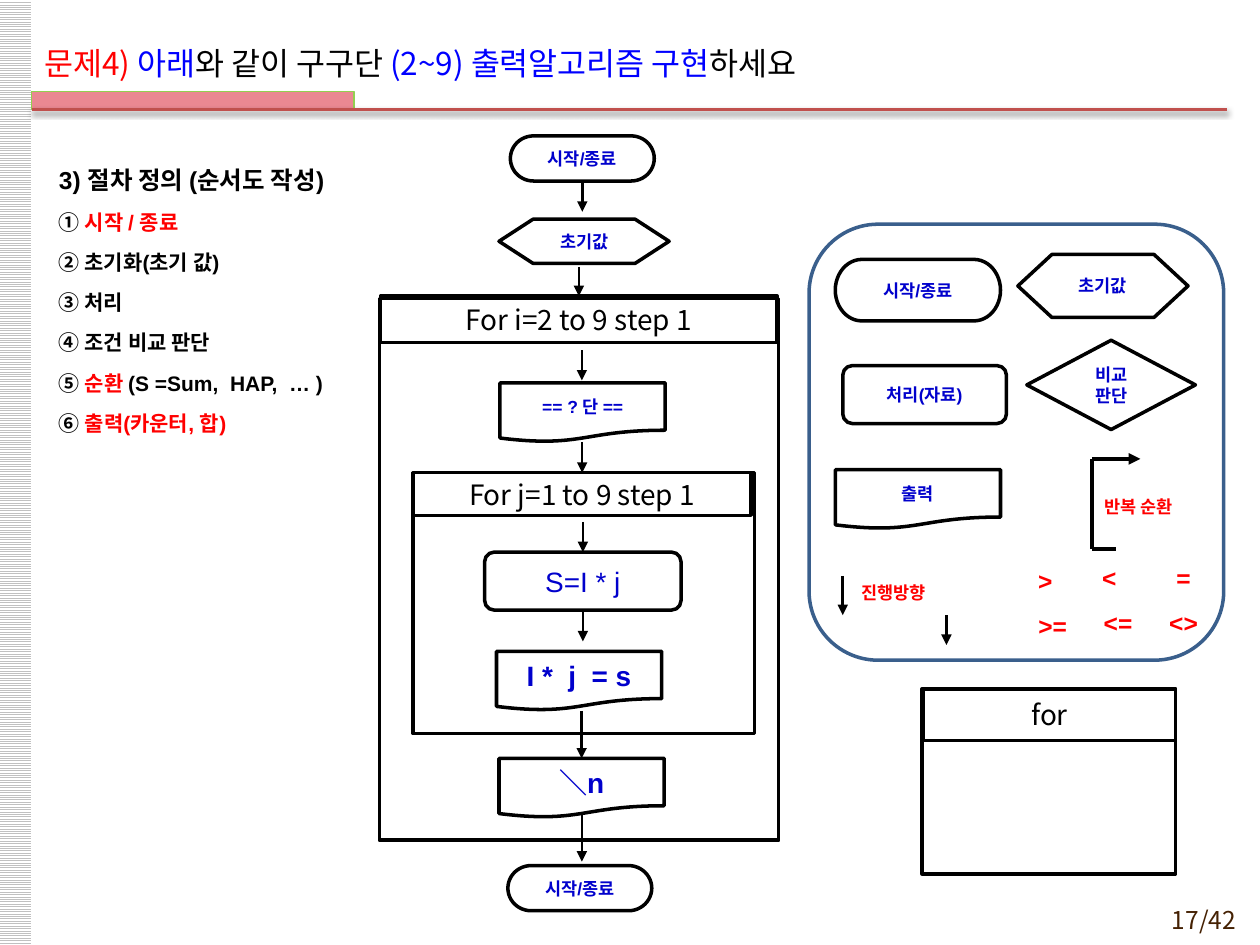
import pptx
import pptx.dml.color
import pptx.enum.dml
import pptx.enum.shapes
import pptx.enum.text
import pptx.oxml
import pptx.oxml.ns
import pptx.util
from lxml import etree

Cm = pptx.util.Cm
Pt = pptx.util.Pt
RGBColor = pptx.dml.color.RGBColor
SHAPE = pptx.enum.shapes.MSO_SHAPE
ALIGN = pptx.enum.text.PP_ALIGN
ANCHOR = pptx.enum.text.MSO_ANCHOR
qn = pptx.oxml.ns.qn

BLACK = RGBColor(0x00, 0x00, 0x00)
WHITE = RGBColor(0xFF, 0xFF, 0xFF)
RED = RGBColor(0xFF, 0x00, 0x00)
BLUE = RGBColor(0x00, 0x00, 0xFF)
NAVY = RGBColor(0x00, 0x00, 0xCC)
LEGEND_BLUE = RGBColor(0x3A, 0x5F, 0x8C)
STRIPE_GRAY = RGBColor(0xC0, 0xC0, 0xC0)
PINK = RGBColor(0xEA, 0x88, 0x92)
GREEN = RGBColor(0x92, 0xD0, 0x50)
RULE_RED = RGBColor(0xC0, 0x50, 0x4D)
BROWN = RGBColor(0x45, 0x21, 0x03)

SANS = "Arial"
KOREAN = "Noto Sans CJK KR"
FLOW_X = 11.73
TOP, BOTTOM = 0, 2

RULE_SHADOW = (
    '<a:outerShdw xmlns:a="http://schemas.openxmlformats.org/drawingml/2006/main" '
    'blurRad="39370" dist="20320" dir="5400000" rotWithShape="0">'
    '<a:srgbClr val="000000"><a:alpha val="38000"/></a:srgbClr></a:outerShdw>'
)


def write(paragraph, runs, size, font=SANS, bold=False, align=None, spacing=None):
    """Fill a paragraph with (text, colour) runs."""
    if align is not None:
        paragraph.alignment = align
    if spacing:
        paragraph.line_spacing = spacing
    paragraph.font.size = Pt(size)
    paragraph.font.name = font
    paragraph.font.bold = bold
    colors = {color for _, color in runs}
    if len(colors) == 1:
        paragraph.font.color.rgb = runs[0][1]
    for text, color in runs:
        run = paragraph.add_run()
        run.text = text
        if len(colors) > 1:
            run.font.color.rgb = color


def add_text_box(slide, box, anchor=ANCHOR.TOP):
    text_box = slide.shapes.add_textbox(*map(Cm, box))
    frame = text_box.text_frame
    frame.word_wrap = True
    frame.vertical_anchor = anchor
    return frame


def add_label(slide, box, text, size, align=None):
    write(add_text_box(slide, box).paragraphs[0], [(text, RED)], size, bold=True, align=align)


def add_outline(slide, kind, box, color=BLACK, width=2):
    shape = slide.shapes.add_shape(kind, *map(Cm, box))
    shape.shadow.inherit = False
    shape.fill.background()
    shape.line.color.rgb = color
    shape.line.width = Pt(width)
    return shape


def add_symbol(slide, kind, box, text, size=10, font=SANS, color=NAVY, bold=True):
    """Add a flowchart symbol with one centred paragraph for each line of text."""
    shape = add_outline(slide, kind, box)
    frame = shape.text_frame
    frame.vertical_anchor = ANCHOR.MIDDLE
    for index, line in enumerate(text.split("\n")):
        paragraph = frame.add_paragraph() if index else frame.paragraphs[0]
        write(paragraph, [(line, color)], size, font, bold, ALIGN.CENTER)
    return shape


def add_loop(slide, frame_box, header_box, text):
    add_outline(slide, SHAPE.RECTANGLE, frame_box)
    return add_symbol(slide, SHAPE.RECTANGLE, header_box, text, 16, KOREAN, BLACK, False)


def add_line(slide, start, end, width=1.5, color=BLACK, arrow=False, shadow=None):
    line = slide.shapes.add_connector(
        pptx.enum.shapes.MSO_CONNECTOR.STRAIGHT, *map(Cm, start + end))
    line.line.color.rgb = color
    line.line.width = Pt(width)
    if arrow:
        etree.SubElement(line.line._get_or_add_ln(), qn("a:tailEnd"), type="triangle")
    effects = etree.SubElement(line._element.spPr, qn("a:effectLst"))
    if shadow:
        effects.append(pptx.oxml.parse_xml(shadow))
    return line


def add_down_arrow(slide, top, bottom, x=FLOW_X, source=None, target=None):
    """Add a vertical arrow, centred on the shape it joins."""
    joined = source or target
    if joined:
        x = (joined.left + joined.width / 2) / Cm(1)
    arrow = add_line(slide, (x, top), (x, bottom), arrow=True)
    if source:
        arrow.begin_connect(source, BOTTOM)
    if target:
        arrow.end_connect(target, TOP)


def add_background(slide):
    stripes = slide.shapes.add_shape(SHAPE.RECTANGLE, Cm(-0.03), Cm(0), Cm(0.66), Cm(19.05))
    stripes.shadow.inherit = False
    stripes.fill.patterned()
    stripes.fill.pattern = pptx.enum.dml.MSO_PATTERN.LIGHT_HORIZONTAL
    stripes.fill.fore_color.rgb = STRIPE_GRAY
    stripes.fill.back_color.rgb = WHITE
    stripes.line.fill.background()

    tab = add_outline(slide, SHAPE.RECTANGLE, (0.64, 1.85, 6.5, 0.36), GREEN, 0.75)
    tab.fill.solid()
    tab.fill.fore_color.rgb = PINK
    add_line(slide, (0.64, 2.21), (24.74, 2.21), 2, RULE_RED, shadow=RULE_SHADOW)

    page_number = add_text_box(slide, (23.06, 18.11, 2.11, 0.74))
    write(page_number.paragraphs[0], [("17/42", BROWN)], 14, KOREAN, align=ALIGN.RIGHT)


def add_title(slide):
    frame = add_text_box(slide, (0.64, 0.23, 21, 1.6), ANCHOR.MIDDLE)
    runs = [("문제4) ", RED), ("아래", BLUE), ("와 같이 구구단", BLACK),
            (" (2~9) 출력알고리즘 구현", BLUE), ("하세요", BLACK)]
    write(frame.paragraphs[0], runs, 18, KOREAN, spacing=1.6)


def add_procedure(slide):
    frame = add_text_box(slide, (0.94, 2.84, 7.39, 6.15))
    write(frame.paragraphs[0], [("3) 절차 정의 (순서도 작성) ", BLACK)], 14,
          bold=True, align=ALIGN.JUSTIFY, spacing=1.6)
    steps = [
        [("① ", BLACK), ("시작 / 종료", RED)],
        [("② 초기화(초기 값)", BLACK)],
        [("③ 처리", BLACK)],
        [("④ 조건 비교 판단", BLACK)],
        [("⑤ ", BLACK), ("순환", RED), (" (S =Sum,  HAP,  … )", BLACK)],
        [("⑥ ", BLACK), ("출력(카운터, 합)", RED)],
    ]
    for runs in steps:
        write(frame.add_paragraph(), runs, 12, bold=True, align=ALIGN.JUSTIFY, spacing=1.6)


def add_flowchart(slide):
    document = SHAPE.FLOWCHART_DOCUMENT
    start = add_symbol(slide, SHAPE.FLOWCHART_TERMINATOR, (10.29, 2.74, 2.9, 0.91), "시작/종료")
    add_symbol(slide, SHAPE.FLOWCHART_PREPARATION, (10.06, 4.42, 3.43, 0.89), "초기값")
    outer = add_loop(slide, (7.65, 6.02, 8.05, 10.92), (7.67, 5.97, 8, 0.94),
                     "For i=2 to 9 step 1")
    add_symbol(slide, document, (10.08, 7.72, 3.33, 1.19), "== ? 단 ==")
    inner = add_loop(slide, (8.33, 9.53, 6.88, 5.26), (8.33, 9.53, 6.81, 0.86),
                     "For j=1 to 9 step 1")
    product = add_symbol(slide, SHAPE.FLOWCHART_ALTERNATE_PROCESS, (9.77, 11.13, 3.96, 1.17),
                         "S=I * j", 16, bold=False)
    add_symbol(slide, document, (10.01, 13.13, 3.33, 1.19), "I *  j  = s", 16)
    newline = add_symbol(slide, document, (10.06, 15.29, 3.33, 1.19), "＼n", 16)
    add_symbol(slide, SHAPE.FLOWCHART_TERMINATOR, (10.24, 17.45, 2.9, 0.91), "시작/종료")

    add_down_arrow(slide, 3.65, 4.27, source=start)
    add_down_arrow(slide, 5.38, 5.97, target=outer)
    add_down_arrow(slide, 7.06, 7.67)
    add_down_arrow(slide, 8.92, 9.53, target=inner)
    add_down_arrow(slide, 10.52, 11.13, target=product)
    add_down_arrow(slide, 12.3, 12.93, source=product)
    add_down_arrow(slide, 14.33, 15.29, target=newline)
    add_down_arrow(slide, 16.43, 17.37)


def add_legend(slide):
    add_outline(slide, SHAPE.ROUNDED_RECTANGLE, (16.31, 4.52, 8.36, 8.79), LEGEND_BLUE)
    for kind, box, text in [
        (SHAPE.FLOWCHART_TERMINATOR, (16.84, 5.23, 3.33, 1.24), "시작/종료"),
        (SHAPE.FLOWCHART_PREPARATION, (20.52, 5.13, 3.43, 1.27), "초기값"),
        (SHAPE.FLOWCHART_ALTERNATE_PROCESS, (16.99, 7.37, 3.3, 1.17), "처리(자료)"),
        (SHAPE.FLOWCHART_DECISION, (20.7, 6.86, 3.4, 1.8), "비교\n판단"),
        (SHAPE.FLOWCHART_DOCUMENT, (16.84, 9.47, 3.33, 1.19), "출력"),
    ]:
        add_symbol(slide, kind, box, text)

    add_line(slide, (22.02, 9.25), (22.99, 9.25), 2.25, arrow=True)
    add_line(slide, (22.02, 9.25), (22.02, 11.07), 2.25)
    add_line(slide, (22.02, 11.07), (22.5, 11.07), 2.25)
    add_label(slide, (22.02, 9.88, 2.08, 0.69), "반복 순환", 10)

    add_down_arrow(slide, 11.61, 12.4, 16.99)
    add_label(slide, (17.12, 11.61, 1.98, 0.69), "진행방향", 10)
    add_down_arrow(slide, 12.4, 13, 19.08)

    for left, top, operator in [
        (20.27, 11.28, ">"), (21.56, 11.23, "<"), (23.06, 11.23, "="),
        (20.42, 12.19, ">="), (21.74, 12.14, "<="), (23.06, 12.14, "<>"),
    ]:
        add_label(slide, (left, top, 1.6, 0.86), operator, 14, ALIGN.CENTER)
    add_loop(slide, (18.59, 13.89, 5.11, 3.73), (18.62, 13.89, 5.08, 1.04), "for")


def main():
    presentation = pptx.Presentation()
    presentation.slide_width = Cm(25.4)
    presentation.slide_height = Cm(19.05)
    slide = presentation.slides.add_slide(presentation.slide_layouts[6])
    add_background(slide)
    add_title(slide)
    add_procedure(slide)
    add_flowchart(slide)
    add_legend(slide)
    presentation.save("out.pptx")


if __name__ == "__main__":
    main()
